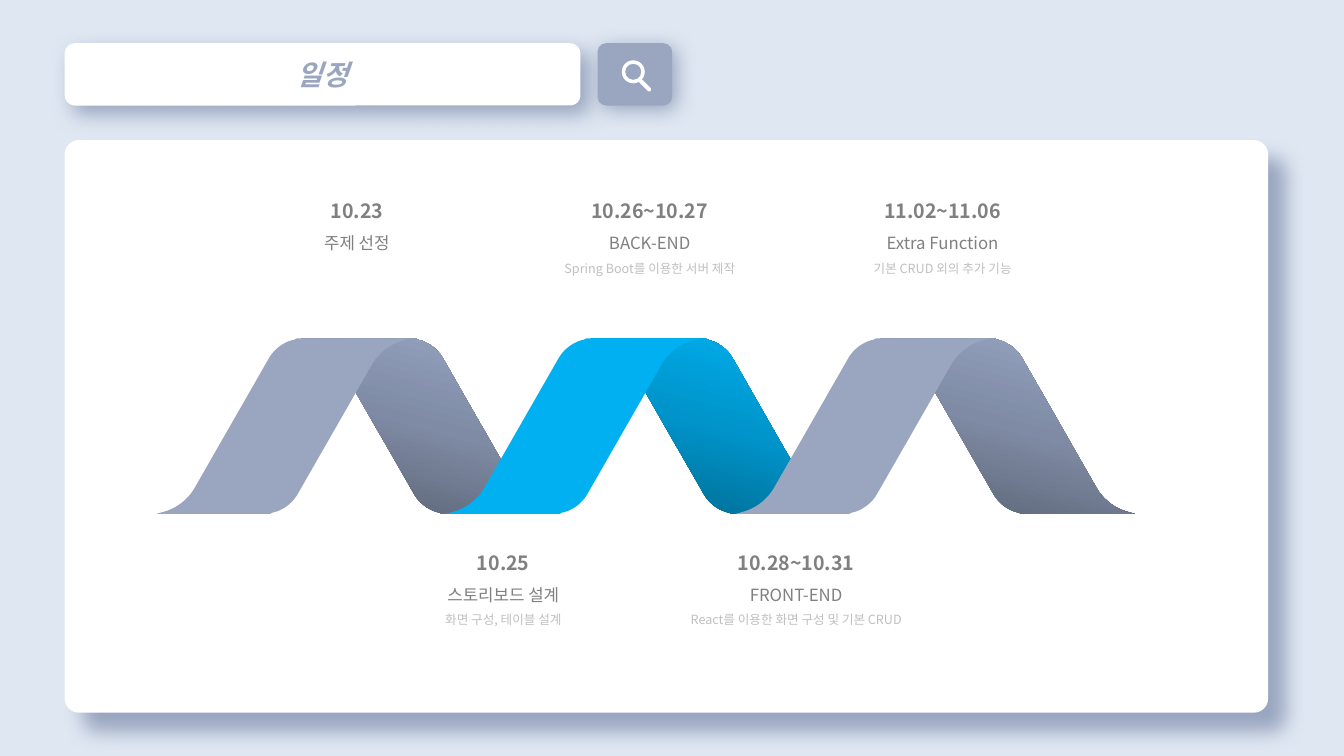
from lxml import etree
from pptx import Presentation
from pptx import util as u
from pptx.dml.color import RGBColor
from pptx.enum import shapes, text
from pptx.oxml import parse_xml
from pptx.oxml.ns import qn, nsdecls

FONT = "Noto Sans CJK KR"
BACKGROUND = RGBColor(0xDF, 0xE7, 0xF2)
WHITE = RGBColor(0xFF, 0xFF, 0xFF)
SLATE = RGBColor(0x9A, 0xA6, 0xC0)
SKY = RGBColor(0x00, 0xB0, 0xF0)
GRAY = RGBColor(0x80, 0x80, 0x80)
LIGHT_GRAY = RGBColor(0xBF, 0xBF, 0xBF)
SLATE_SHADE = [RGBColor(0x5A, 0x62, 0x73), RGBColor(0x7F, 0x8B, 0xA4), RGBColor(0x97, 0xA5, 0xC3)]
SKY_SHADE = [RGBColor(0x00, 0x68, 0x8E), RGBColor(0x00, 0x94, 0xCA), SKY]

RIBBON_WIDTH, RIBBON_HEIGHT, RIBBON_PITCH = 6.4, 4.42, 7.3
BACK_OFFSET = 3.66
RIBBONS = [(SLATE, SLATE_SHADE), (SKY, SKY_SHADE), (SLATE, SLATE_SHADE)]
SCHEDULE = [
    ("10.23", "주제 선정"),
    ("10.25", "스토리보드 설계", "화면 구성, 테이블 설계"),
    ("10.26~10.27", "BACK-END", "Spring Boot를 이용한 서버 제작"),
    ("10.28~10.31", "FRONT-END", "React를 이용한 화면 구성 및 기본 CRUD"),
    ("11.02~11.06", "Extra Function", "기본 CRUD 외의 추가 기능"),
]
LABEL_STYLES = [(14, True, GRAY), (12, False, GRAY), (9, False, LIGHT_GRAY)]


def style_paragraph(paragraph, size, bold, color):
    """Centre a paragraph and set its font for Latin and Korean text."""
    paragraph.alignment = text.PP_ALIGN.CENTER
    font = paragraph.font
    font.size, font.bold, font.name = u.Pt(size), bold, FONT
    font.color.rgb = color
    etree.SubElement(font._element, qn("a:ea")).set("typeface", FONT)


def add_plain_shape(slide, kind, left, top, width, height, color, corner=None):
    """Add a borderless preset shape in one colour."""
    shape = slide.shapes.add_shape(kind, u.Cm(left), u.Cm(top), u.Cm(width), u.Cm(height))
    shape.shadow.inherit = False
    shape.fill.solid()
    shape.fill.fore_color.rgb = color
    shape.line.fill.background()
    if corner is not None:
        shape.adjustments[0] = corner
    return shape


def add_card(slide, left, top, width, height, color, corner, distance):
    """Add a rounded card with a soft shadow."""
    card = add_plain_shape(slide, shapes.MSO_SHAPE.ROUNDED_RECTANGLE,
                           left, top, width, height, color, corner)
    effects = card._element.spPr.find(qn("a:effectLst"))
    effects.append(parse_xml(
        f'<a:outerShdw {nsdecls("a")} blurRad="{u.Pt(15)}" dist="{u.Pt(distance)}" '
        f'dir="2700000" algn="tl" rotWithShape="0"><a:srgbClr val="{SLATE}"/></a:outerShdw>'))
    return card


def add_title_bar(slide, left, top, width, height):
    """Place the slide title on a white card."""
    card = add_card(slide, left, top, width, height, WHITE, 0.167, 8)
    title = slide.shapes.title
    card._element.addnext(title._element)
    title.left, title.top, title.width, title.height = map(u.Cm, (left, top, width, height))
    frame = title.text_frame
    frame.text = "일정"
    frame.vertical_anchor = text.MSO_ANCHOR.MIDDLE
    frame.auto_size = text.MSO_AUTO_SIZE.NONE
    style_paragraph(frame.paragraphs[0], 20, True, SLATE)
    frame.paragraphs[0].font.italic = True


def add_search_button(slide, left, top, width, height):
    """Draw a button with a magnifier on it."""
    add_card(slide, left, top, width, height, SLATE, 0.138, 4)
    add_plain_shape(slide, shapes.MSO_SHAPE.DONUT,
                    left + 0.61, top + 0.43, 0.58, 0.58, WHITE, 0.148)
    handle = add_plain_shape(slide, shapes.MSO_SHAPE.ROUNDED_RECTANGLE,
                             left + 1.14, top + 0.85, 0.1, 0.41, WHITE, 0.5)
    handle.rotation = 315


def curve_points(start, control_1, control_2, end, steps=12):
    """Return points along a cubic curve."""
    points = []
    for step in range(steps + 1):
        t = step / steps
        weights = ((1 - t) ** 3, 3 * t * (1 - t) ** 2, 3 * t ** 2 * (1 - t), t ** 3)
        points.append(tuple(sum(weight * point[axis] for weight, point in
                                zip(weights, (start, control_1, control_2, end)))
                            for axis in (0, 1)))
    return points


def ribbon_outline():
    """Return a rising ribbon, whose right edge is its left edge turned half round."""
    edge = [(3.53, 0)]
    edge += curve_points((3.48, 0.03), (3.23, 0.08), (2.97, 0.25), (2.82, 0.53))
    edge += curve_points((0.94, 3.81), (0.76, 4.09), (0.48, 4.29), (0.18, 4.37))
    edge.append((0, RIBBON_HEIGHT))
    return edge + [(RIBBON_WIDTH - x, RIBBON_HEIGHT - y) for x, y in edge]


def add_ribbon(slide, left, top, mirrored=False):
    """Draw one borderless strip, rising or mirrored to fall."""
    points = [(u.Cm(left + (RIBBON_WIDTH - x if mirrored else x)), u.Cm(top + y))
              for x, y in ribbon_outline()]
    builder = slide.shapes.build_freeform(*points[0])
    builder.add_line_segments(points[1:], close=True)
    ribbon = builder.convert_to_shape()
    ribbon.shadow.inherit = False
    ribbon.line.fill.background()
    return ribbon


def shade_ribbon(ribbon, colors):
    """Fill a strip with a three-colour gradient that lightens upwards."""
    ribbon.fill.gradient()
    ribbon.fill.gradient_angle = 75
    stops = ribbon._element.spPr.find(qn("a:gradFill")).find(qn("a:gsLst"))
    for stop in list(stops):
        stops.remove(stop)
    for index, color in enumerate(colors):
        stops.append(parse_xml(f'<a:gs {nsdecls("a")} pos="{index * 50000}">'
                               f'<a:srgbClr val="{color}"/></a:gs>'))


def add_ribbon_band(slide, left, top):
    """Draw the folded band as pairs of falling and rising strips."""
    for index, (color, shade) in enumerate(RIBBONS):
        x = left + index * RIBBON_PITCH
        shade_ribbon(add_ribbon(slide, x + BACK_OFFSET, top, mirrored=True), shade)
        front = add_ribbon(slide, x, top)
        front.fill.solid()
        front.fill.fore_color.rgb = color


def add_label(slide, left, top, width, lines):
    """Add a date with its task and details."""
    height = 1.93 if len(lines) == 2 else 2.49
    box = slide.shapes.add_textbox(u.Cm(left), u.Cm(top), u.Cm(width), u.Cm(height))
    frame = box.text_frame
    frame.word_wrap = True
    frame.auto_size = text.MSO_AUTO_SIZE.SHAPE_TO_FIT_TEXT
    frame.text = "\n".join(lines)
    for paragraph, style in zip(frame.paragraphs, LABEL_STYLES):
        paragraph.line_spacing = 1.5
        style_paragraph(paragraph, *style)


def add_schedule(slide, left, top, width, height):
    """Fill the main card with the band and labels alternating above and below."""
    add_card(slide, left, top, width, height, WHITE, 0.025, 19)
    add_ribbon_band(slide, left + 2.31, top + 5)
    for index, lines in enumerate(SCHEDULE):
        label_top = top + (9.93 if index % 2 else 1.07)
        add_label(slide, left + 3.81 + index * 3.69, label_top, 7.11, lines)


def main():
    """Build and save the schedule slide."""
    presentation = Presentation()
    presentation.slide_width, presentation.slide_height = u.Cm(33.87), u.Cm(19.05)
    slide = presentation.slides.add_slide(presentation.slide_layouts[5])
    slide.background.fill.solid()
    slide.background.fill.fore_color.rgb = BACKGROUND
    add_title_bar(slide, 1.63, 1.09, 13, 1.57)
    add_search_button(slide, 15.06, 1.09, 1.88, 1.57)
    add_schedule(slide, 1.63, 3.53, 30.33, 14.43)
    presentation.save("out.pptx")


if __name__ == "__main__":
    main()
